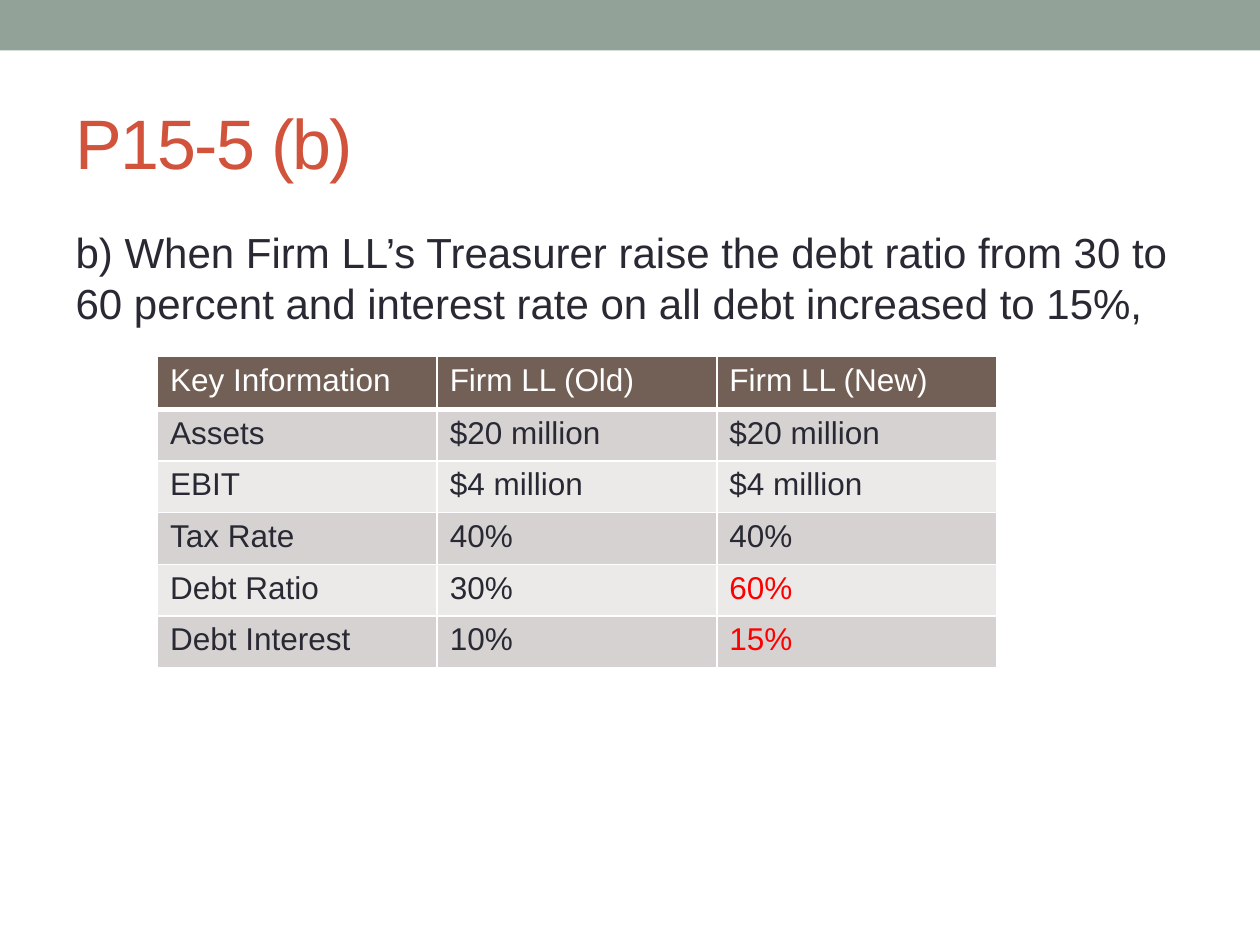
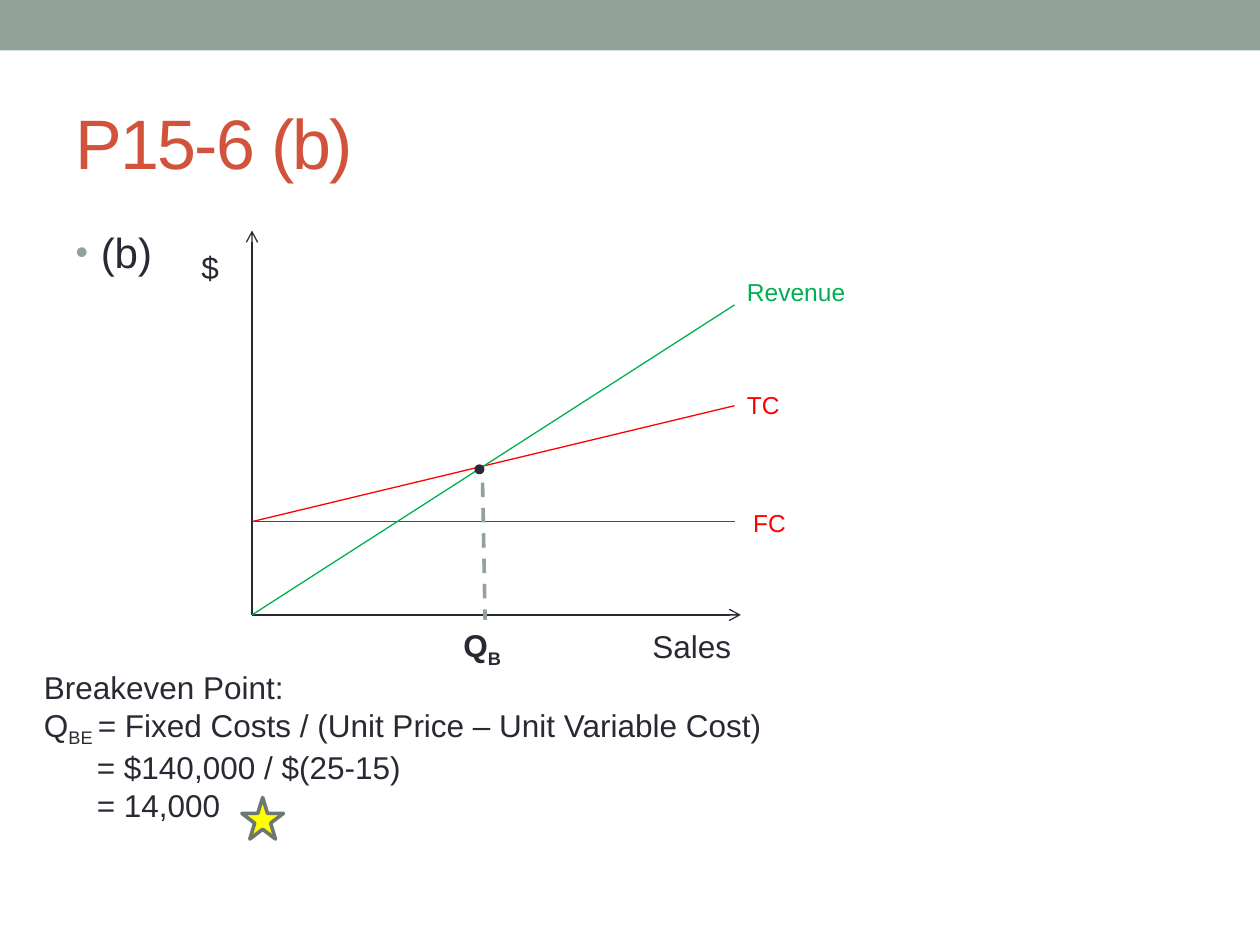
from dataclasses import dataclass

from lxml import etree
from pptx import Presentation
from pptx.dml.color import RGBColor
from pptx.enum.dml import MSO_LINE
from pptx.enum.shapes import MSO_CONNECTOR, MSO_SHAPE
from pptx.enum.text import MSO_ANCHOR, MSO_AUTO_SIZE, PP_ALIGN
from pptx.oxml.ns import qn
from pptx.util import Inches, Pt

RECT, OVAL, STAR = MSO_SHAPE.RECTANGLE, MSO_SHAPE.OVAL, MSO_SHAPE.STAR_5_POINT
STRAIGHT, DASH = MSO_CONNECTOR.STRAIGHT, MSO_LINE.DASH
MIDDLE, LEFT = MSO_ANCHOR.MIDDLE, PP_ALIGN.LEFT
GROW, FIXED = MSO_AUTO_SIZE.SHAPE_TO_FIT_TEXT, MSO_AUTO_SIZE.NONE

FONT = "Arial"
INK, SAGE, RUST, WHITE = "292934", "93A299", "D2533C", "FFFFFF"
RED, GREEN, YELLOW, SLATE = "FF0000", "00B050", "FFFF00", "6D7871"
BROWN, DARK, PALE = "726056", "D5D2D1", "EBEAE9"
THIN, THICK = 0.75, 2.08

LEFT_X, BASE_Y, END_X, FIXED_Y = 2, 4.88, 5.83, 4.14


@dataclass
class Line:
    start: tuple[float, float]
    end: tuple[float, float]
    color: str
    width: float = THIN
    arrow: bool = False
    dash: bool = False


@dataclass
class Label:
    text: str
    box: tuple[float, float, float, float]
    color: str = INK
    size: int = 18


@dataclass
class Mark:
    kind: int
    box: tuple[float, float, float, float]
    fill: str
    edge: str | None = None


ROWS = [
    ("Key Information", "Firm LL (Old)", "Firm LL (New)"),
    ("Assets", "$20 million", "$20 million"),
    ("EBIT", "$4 million", "$4 million"),
    ("Tax Rate", "40%", "40%"),
    ("Debt Ratio", "30%", "60%"),
    ("Debt Interest", "10%", "15%"),
]
CHANGED = {"60%", "15%"}

LINES = [
    Line((LEFT_X, BASE_Y), (5.88, BASE_Y), INK, arrow=True),
    Line((LEFT_X, BASE_Y), (LEFT_X, 1.83), INK, arrow=True),
    Line((LEFT_X, FIXED_Y), (END_X, FIXED_Y), RED),
    Line((LEFT_X, FIXED_Y), (END_X, 3.22), RED),
    Line((LEFT_X, BASE_Y), (END_X, 2.42), GREEN),
]
DROP = Line((3.83, 3.83), (3.85, 4.92), SAGE, THICK, dash=True)
LABELS = [
    Label("$", (1.5, 1.92, 0.33, 0.4)),
    Label("Sales", (5.08, 4.93, 0.92, 0.4)),
    Label("FC", (5.88, 3.98, 0.67, 0.34), RED, 14),
    Label("TC", (5.83, 3.05, 0.67, 0.34), RED, 14),
    Label("Revenue", (5.83, 2.15, 1.83, 0.34), GREEN, 14),
]
BAND = Mark(RECT, (0, 0, 10, 0.4), SAGE)
POINT = Mark(OVAL, (3.78, 3.7, 0.05, 0.05), INK, INK)
AWARD = Mark(STAR, (1.92, 6.33, 0.33, 0.33), YELLOW, SLATE)


def rgb(color: str) -> RGBColor:
    return RGBColor.from_string(color)


def place(shape, box: tuple) -> None:
    shape.left, shape.top, shape.width, shape.height = map(Inches, box)


def style(frame, size: int, color: str) -> None:
    for para in frame.paragraphs:
        for run in para.runs:
            run.font.name = FONT
            run.font.size = Pt(size)
            run.font.color.rgb = rgb(color)


def indent(para, left: float, first: float = 0):
    props = para._p.get_or_add_pPr()
    props.set("marL", str(Inches(left)))
    props.set("indent", str(Inches(first)))
    return props


def add_sub(para, text: str) -> None:
    run = para.add_run()
    run.text = text
    run._r.get_or_add_rPr().set("baseline", "-25000")


def draw_mark(slide, mark: Mark) -> None:
    shape = slide.shapes.add_shape(mark.kind, *map(Inches, mark.box))
    shape.shadow.inherit = False
    shape.fill.solid()
    shape.fill.fore_color.rgb = rgb(mark.fill)
    if mark.edge:
        shape.line.color.rgb = rgb(mark.edge)
        shape.line.width = Pt(THICK)
    else:
        shape.line.fill.background()


def draw_line(slide, line: Line) -> None:
    ends = map(Inches, line.start + line.end)
    shape = slide.shapes.add_connector(STRAIGHT, *ends)
    shape.line.color.rgb = rgb(line.color)
    shape.line.width = Pt(line.width)
    if line.dash:
        shape.line.dash_style = DASH
    if line.arrow:
        etree.SubElement(shape.line._get_or_add_ln(), qn("a:tailEnd"), type="arrow")
    etree.SubElement(shape._element.spPr, qn("a:effectLst"))


def draw_label(slide, label: Label):
    frame = slide.shapes.add_textbox(*map(Inches, label.box)).text_frame
    frame.word_wrap = True
    frame.auto_size = GROW
    frame.text = label.text
    style(frame, label.size, label.color)
    return frame


def new_slide(deck, title: str, body: str):
    slide = deck.slides.add_slide(deck.slide_layouts[1])
    draw_mark(slide, BAND)
    head, main = slide.shapes.title, slide.placeholders[1]
    place(head, (0.5, 0.58, 9, 1.08))
    place(main, (0.5, 1.75, 9, 5.33))
    for shape, text, size, color in ((head, title, 40, RUST), (main, body, 24, INK)):
        frame = shape.text_frame
        frame.text = text
        frame.auto_size = FIXED
        frame.paragraphs[0].alignment = LEFT
        style(frame, size, color)
    head.text_frame.vertical_anchor = MIDDLE
    head.text_frame.paragraphs[0].runs[0]._r.get_or_add_rPr().set("spc", "-100")
    return slide, main.text_frame.paragraphs[0]


def add_edges(cell, is_head: bool) -> None:
    props = cell._tc.get_or_add_tcPr()
    for side in "LRTB":
        width = 3 if is_head and side == "B" else 1
        edge = etree.SubElement(props, qn(f"a:ln{side}"), w=str(Pt(width)))
        fill = etree.SubElement(edge, qn("a:solidFill"))
        etree.SubElement(fill, qn("a:srgbClr"), val=WHITE)


def draw_table(slide) -> None:
    box = map(Inches, (1.25, 2.83, 6.67, 2.44))
    table = slide.shapes.add_table(len(ROWS), len(ROWS[0]), *box).table
    for col in table.columns:
        col.width = Inches(2.22)
    for i, row in enumerate(ROWS):
        table.rows[i].height = Inches(0.41 if i else 0.42)
        for j, text in enumerate(row):
            cell = table.cell(i, j)
            add_edges(cell, i == 0)
            cell.fill.solid()
            back = BROWN if i == 0 else DARK if i % 2 else PALE
            cell.fill.fore_color.rgb = rgb(back)
            cell.text_frame.text = text
            color = WHITE if i == 0 else RED if text in CHANGED else INK
            style(cell.text_frame, 18, color)


def add_ratio(deck) -> None:
    slide, para = new_slide(
        deck,
        "P15-5 (b)",
        "b) When Firm LL’s Treasurer raise the debt ratio from 30 to "
        "60 percent and interest rate on all debt increased to 15%,",
    )
    etree.SubElement(indent(para, 0), qn("a:buNone"))
    draw_table(slide)


def add_break(deck) -> None:
    slide, para = new_slide(deck, "P15-6 (b)", "(b)")
    props = indent(para, 0.2, -0.2)
    tint = etree.SubElement(props, qn("a:buClr"))
    etree.SubElement(tint, qn("a:srgbClr"), val=SAGE)
    etree.SubElement(props, qn("a:buSzPct"), val="85000")
    etree.SubElement(props, qn("a:buFont"), typeface=FONT)
    etree.SubElement(props, qn("a:buChar"), char="•")

    for line in LINES:
        draw_line(slide, line)
    for label in LABELS:
        draw_label(slide, label)
    draw_mark(slide, POINT)
    draw_mark(slide, AWARD)
    draw_line(slide, DROP)

    frame = draw_label(slide, Label("Q", (3.58, 4.92, 0.54, 0.4)))
    add_sub(frame.paragraphs[0], "B")
    style(frame, 18, INK)
    for run in frame.paragraphs[0].runs:
        run.font.bold = True

    steps = "Breakeven Point:\nQ\n= $140,000 / $(25-15)\n= 14,000"
    frame = draw_label(slide, Label(steps, (0.25, 5.25, 8.42, 1.31)))
    rule = frame.paragraphs[1]
    add_sub(rule, "BE ")
    rule.add_run().text = "= Fixed Costs / (Unit Price – Unit Variable Cost)"
    for para in frame.paragraphs[2:]:
        indent(para, 0.42)
    style(frame, 18, INK)


def main() -> None:
    deck = Presentation()
    deck.slide_width, deck.slide_height = Inches(10), Inches(7.5)
    add_ratio(deck)
    add_break(deck)
    deck.save("out.pptx")


if __name__ == "__main__":
    main()
